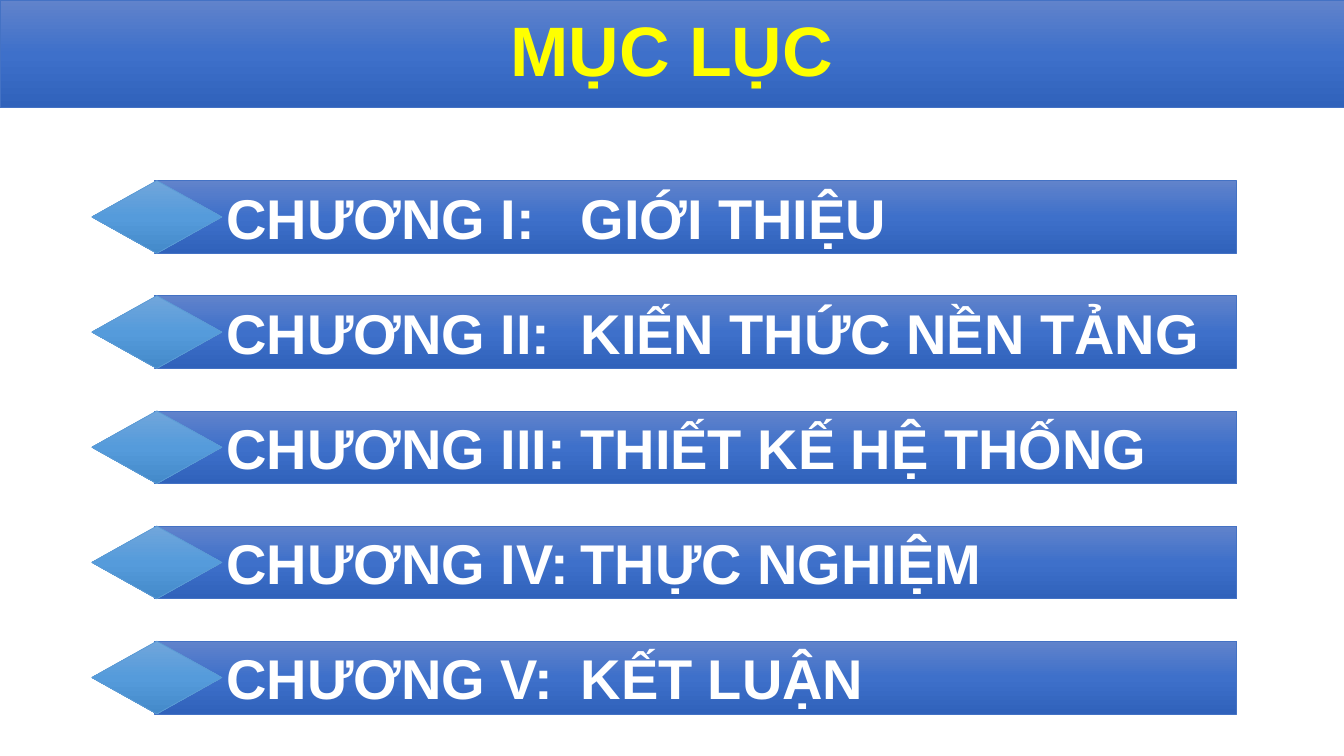
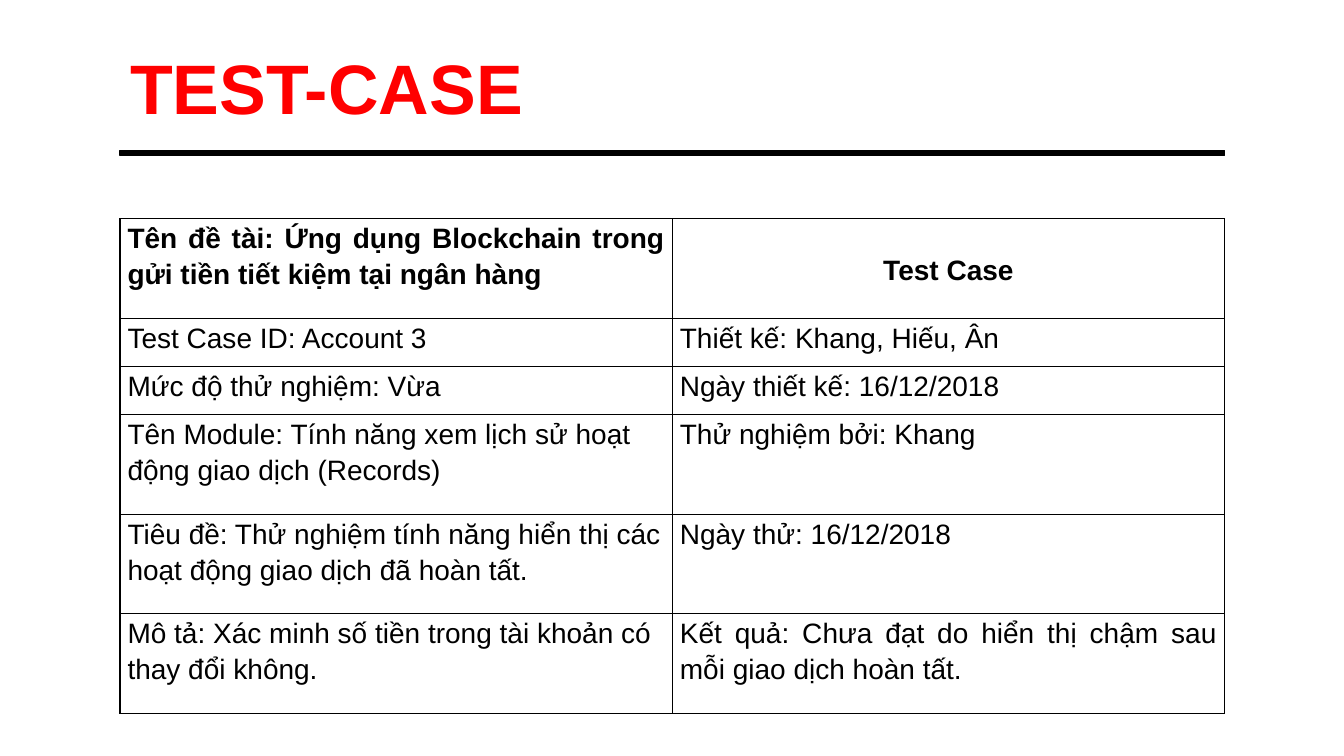
"""Build the contents slide and the test-case slide."""
from copy import deepcopy

from lxml.etree import SubElement
from pptx import Presentation
from pptx.dml.color import RGBColor
from pptx.enum.shapes import MSO_SHAPE
from pptx.enum.text import MSO_ANCHOR, MSO_AUTO_SIZE, PP_ALIGN
from pptx.oxml import parse_xml
from pptx.oxml.ns import nsdecls, qn
from pptx.util import Pt

FONT = "Arial"
TITLE_SIZE = 50
SLIDE_WIDTH, SLIDE_HEIGHT = 960, 540
CONTENT_LEFT, CONTENT_WIDTH = 85.7, 789.1

BLACK = RGBColor(0x00, 0x00, 0x00)
WHITE = RGBColor(0xFF, 0xFF, 0xFF)
YELLOW = RGBColor(0xFF, 0xFF, 0x00)
RED = RGBColor(0xFF, 0x00, 0x00)
BAND_LINE = RGBColor(0x44, 0x72, 0xC4)
BAND_GRADIENT = (RGBColor(0x61, 0x83, 0xCB), RGBColor(0x3E, 0x70, 0xCA), RGBColor(0x30, 0x62, 0xBB))
MARKER_LINE = RGBColor(0x5B, 0x9B, 0xD5)
MARKER_GRADIENT = (RGBColor(0x71, 0xA6, 0xDB), RGBColor(0x55, 0x9B, 0xDB), RGBColor(0x44, 0x8A, 0xCA))

CHAPTERS = (
    "CHƯƠNG I:\tGIỚI THIỆU",
    "CHƯƠNG II:\tKIẾN THỨC NỀN TẢNG",
    "CHƯƠNG III:\tTHIẾT KẾ HỆ THỐNG",
    "CHƯƠNG IV:\tTHỰC NGHIỆM",
    "CHƯƠNG V:\tKẾT LUẬN",
)
TEST_CASE = (
    ("Tên đề tài: Ứng dụng Blockchain trong gửi tiền tiết kiệm tại ngân hàng", "Test Case"),
    ("Test Case ID: Account 3", "Thiết kế: Khang, Hiếu, Ân"),
    ("Mức độ thử nghiệm: Vừa", "Ngày thiết kế: 16/12/2018"),
    ("Tên Module: Tính năng xem lịch sử hoạt động giao dịch (Records)", "Thử nghiệm bởi: Khang"),
    ("Tiêu đề: Thử nghiệm tính năng hiển thị các hoạt động giao dịch đã hoàn tất.", "Ngày thử: 16/12/2018"),
    ("Mô tả: Xác minh số tiền trong tài khoản có thay đổi không.",
     "Kết quả: Chưa đạt do hiển thị chậm sau mỗi giao dịch hoàn tất."),
)
TALL_ROW, SHORT_ROW = 71.2, 34.4
ROW_HEIGHTS = (TALL_ROW, SHORT_ROW, SHORT_ROW, TALL_ROW, TALL_ROW, TALL_ROW)


def write_text(frame, text, *, size, color, bold=False, align=PP_ALIGN.LEFT,
               line_spacing=1.0, space_after=0, tab=None):
    """Write one formatted paragraph into a text frame."""
    frame.word_wrap = True
    paragraph = frame.paragraphs[0]
    paragraph.alignment = align
    paragraph.line_spacing = line_spacing
    paragraph.space_before = Pt(0)
    paragraph.space_after = Pt(space_after)
    if tab is not None:
        tabs = SubElement(paragraph._p.get_or_add_pPr(), qn("a:tabLst"))
        SubElement(tabs, qn("a:tab"), pos=str(Pt(tab)), algn="l")
    run = paragraph.add_run()
    run.text = text
    run.font.name = FONT
    run.font.size = Pt(size)
    run.font.bold = bold
    run.font.color.rgb = color


def paint_gradient(shape, colors, line_color):
    """Give a shape an evenly stepped downward gradient and a thin outline."""
    shape.fill.gradient()
    shape.fill.gradient_angle = 270
    stops = shape._element.spPr.find(".//" + qn("a:gsLst"))
    while len(stops) < len(colors):
        stops.append(deepcopy(stops[-1]))
    for index, (stop, color) in enumerate(zip(shape.fill.gradient_stops, colors)):
        stop.position = index / (len(colors) - 1)
        stop.color.rgb = color
    shape.line.color.rgb = line_color
    shape.line.width = Pt(0.5)


def add_shape(slide, preset, left, top, width, height):
    """Add a preset shape without a shadow."""
    shape = slide.shapes.add_shape(preset, Pt(left), Pt(top), Pt(width), Pt(height))
    shape.shadow.inherit = False
    return shape


def add_titled_slide(deck, text, left, top, width, height, **text_format):
    """Add a title-only slide and place its title."""
    slide = deck.slides.add_slide(deck.slide_layouts[5])
    title = slide.shapes.title
    title.left, title.top, title.width, title.height = Pt(left), Pt(top), Pt(width), Pt(height)
    title.text_frame.auto_size = MSO_AUTO_SIZE.NONE
    title.text_frame.vertical_anchor = MSO_ANCHOR.MIDDLE
    write_text(title.text_frame, text, size=TITLE_SIZE, bold=True, **text_format)
    return slide


def add_chapter(slide, chapter, top, height=52):
    """Add a chapter bar with its diamond marker."""
    bar = add_shape(slide, MSO_SHAPE.RECTANGLE, 110.2, top, 773.3, height)
    paint_gradient(bar, BAND_GRADIENT, BAND_LINE)
    bar.text_frame.margin_left = Pt(51.6)
    bar.text_frame.vertical_anchor = MSO_ANCHOR.MIDDLE
    write_text(bar.text_frame, chapter, size=40, color=WHITE, bold=True, tab=253)
    marker = add_shape(slide, MSO_SHAPE.FLOWCHART_DECISION, 65.5, top, 93, height)
    paint_gradient(marker, MARKER_GRADIENT, MARKER_LINE)


def style_cell(cell):
    """Give a table cell a white fill, black borders and narrow margins."""
    cell.margin_left = cell.margin_right = Pt(5.4)
    cell.margin_top = cell.margin_bottom = Pt(0)
    cell.fill.solid()
    cell.fill.fore_color.rgb = WHITE
    properties = cell._tc.get_or_add_tcPr()
    for index, side in enumerate("LRTB"):
        properties.insert(index, parse_xml(
            f'<a:ln{side} {nsdecls("a")} w="{Pt(1)}"><a:solidFill>'
            f'<a:srgbClr val="{BLACK}"/></a:solidFill></a:ln{side}>'))


def add_test_table(slide, rows, top):
    """Add the two-column test-case table."""
    table = slide.shapes.add_table(len(rows), 2, Pt(CONTENT_LEFT), Pt(top),
                                   Pt(CONTENT_WIDTH), Pt(sum(ROW_HEIGHTS))).table
    table.first_row = table.horz_banding = False
    for column in table.columns:
        column.width = Pt(CONTENT_WIDTH / 2)
    for row_index, (texts, height) in enumerate(zip(rows, ROW_HEIGHTS)):
        table.rows[row_index].height = Pt(height)
        for column_index, text in enumerate(texts):
            heading = row_index == 0
            cell = table.cell(row_index, column_index)
            style_cell(cell)
            align = PP_ALIGN.JUSTIFY if heading or column_index else PP_ALIGN.LEFT
            if heading and column_index:
                align = PP_ALIGN.CENTER
                cell.vertical_anchor = MSO_ANCHOR.MIDDLE
            write_text(cell.text_frame, text, size=20, color=BLACK, bold=heading,
                       align=align, line_spacing=1.15, space_after=10)


def build_contents(deck):
    """Build the table of contents."""
    slide = add_titled_slide(deck, "MỤC LỤC", 0, 0, SLIDE_WIDTH, 77, color=YELLOW,
                             align=PP_ALIGN.CENTER, line_spacing=0.9)
    paint_gradient(slide.shapes.title, BAND_GRADIENT, BAND_LINE)
    for index, chapter in enumerate(CHAPTERS):
        add_chapter(slide, chapter, 129 + index * 82.25)


def build_test_case(deck):
    """Build the test-case slide."""
    slide = add_titled_slide(deck, "TEST-CASE", CONTENT_LEFT, 24.5, CONTENT_WIDTH, 74, color=RED)
    rule = add_shape(slide, MSO_SHAPE.RECTANGLE, CONTENT_LEFT, 107.5, CONTENT_WIDTH, 3.6)
    rule.fill.solid()
    rule.fill.fore_color.rgb = BLACK
    rule.line.color.rgb = BLACK
    rule.line.width = Pt(1)
    add_test_table(slide, TEST_CASE, 156.2)


def main():
    """Build and save the presentation."""
    deck = Presentation()
    deck.slide_width, deck.slide_height = Pt(SLIDE_WIDTH), Pt(SLIDE_HEIGHT)
    build_contents(deck)
    build_test_case(deck)
    deck.save("out.pptx")


if __name__ == "__main__":
    main()
